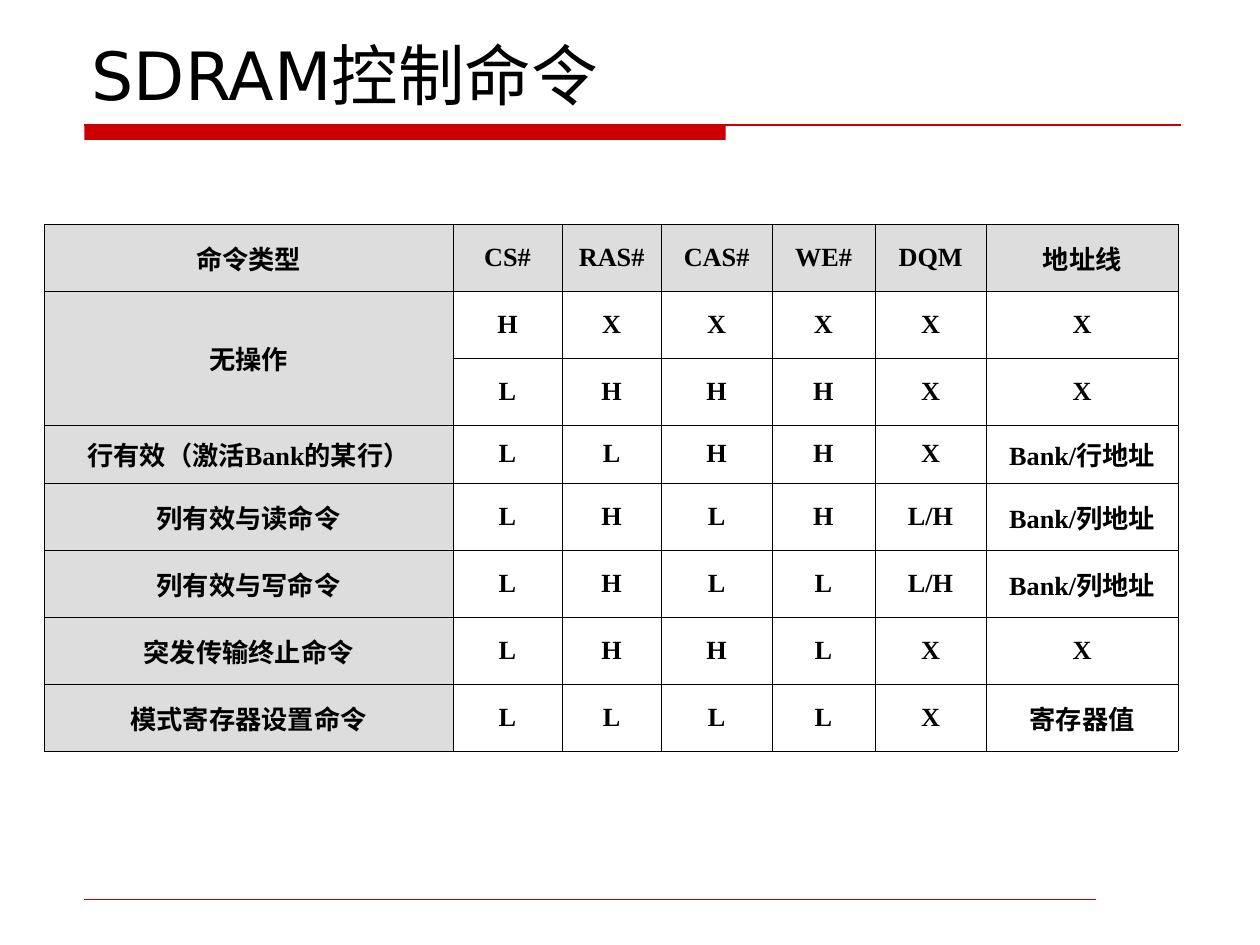
import pptx
import pptx.util
import pptx.dml.color
import pptx.enum.shapes
import pptx.enum.text
import pptx.oxml.ns
from lxml import etree
from pptx.util import Cm

# Content
TITLE = "SDRAM控制命令"
HEADER = ["命令类型", "CS#", "RAS#", "CAS#", "WE#", "DQM", "地址线"]
COMMANDS = [
    ["无操作", "H", "X", "X", "X", "X", "X"],
    ["", "L", "H", "H", "H", "X", "X"],
    ["行有效（激活Bank的某行）", "L", "L", "H", "H", "X", "Bank/行地址"],
    ["列有效与读命令", "L", "H", "L", "H", "L/H", "Bank/列地址"],
    ["列有效与写命令", "L", "H", "L", "L", "L/H", "Bank/列地址"],
    ["突发传输终止命令", "L", "H", "H", "L", "X", "X"],
    ["模式寄存器设置命令", "L", "L", "L", "L", "X", "寄存器值"],
]

# Style and layout, in centimetres
COLORS = {"red": "CC0000", "black": "000000", "gray": "DDDDDD"}
COLUMN_WIDTHS = [8.24, 2.2, 2, 2.23, 2.08, 2.24, 3.87]
ROW_HEIGHT, LOW_ROW_HEIGHT = 1.35, 1.17
LOW_ROW = 3
TABLE_LEFT, TABLE_TOP = 0.89, 4.52
RULE_LEFT, RULE_TOP, RULE_RIGHT = 1.7, 2.52, 23.8
FOOTER_TOP, FOOTER_RIGHT = 18.13, 22.1


def rgb(name):
    return pptx.dml.color.RGBColor.from_string(COLORS[name])


def add_text(paragraph, text, font_name, size, bold=False):
    run = paragraph.add_run()
    run.text = text
    run.font.name = font_name
    run.font.size = pptx.util.Pt(size)
    run.font.bold = bold
    run.font.color.rgb = rgb("black")


def add_rule(slide, top, right, width):
    connector = slide.shapes.add_connector(
        pptx.enum.shapes.MSO_CONNECTOR.STRAIGHT,
        Cm(RULE_LEFT), Cm(top), Cm(right), Cm(top))
    connector.line.color.rgb = rgb("red")
    connector.line.width = pptx.util.Pt(width)
    properties = connector._element.spPr
    etree.SubElement(properties, pptx.oxml.ns.qn("a:effectLst"))


def add_borders(cell, width):
    properties = cell._tc.get_or_add_tcPr()
    for side in ("lnL", "lnR", "lnT", "lnB"):
        line = etree.SubElement(properties, pptx.oxml.ns.qn("a:" + side),
                                w=str(pptx.util.Pt(width)))
        fill = etree.SubElement(line, pptx.oxml.ns.qn("a:solidFill"))
        etree.SubElement(fill, pptx.oxml.ns.qn("a:srgbClr"), val=COLORS["black"])


def fill_cell(cell, text, shaded):
    add_borders(cell, 0.45)
    if shaded:
        cell.fill.solid()
        cell.fill.fore_color.rgb = rgb("gray")
    else:
        cell.fill.background()
    cell.vertical_anchor = pptx.enum.text.MSO_ANCHOR.MIDDLE
    if text:
        paragraph = cell.text_frame.paragraphs[0]
        paragraph.alignment = pptx.enum.text.PP_ALIGN.CENTER
        add_text(paragraph, text, "Times New Roman", 15, bold=True)


def add_command_table(slide):
    rows = [HEADER] + COMMANDS
    heights = [LOW_ROW_HEIGHT if index == LOW_ROW else ROW_HEIGHT
               for index in range(len(rows))]
    table = slide.shapes.add_table(
        len(rows), len(HEADER), Cm(TABLE_LEFT), Cm(TABLE_TOP),
        Cm(sum(COLUMN_WIDTHS)), Cm(sum(heights))).table
    table.first_row = table.horz_banding = False
    for column, width in zip(table.columns, COLUMN_WIDTHS):
        column.width = Cm(width)
    for row, height in zip(table.rows, heights):
        row.height = Cm(height)
    for row_index, texts in enumerate(rows):
        for column_index, text in enumerate(texts):
            shaded = row_index == 0 or column_index == 0
            fill_cell(table.cell(row_index, column_index), text, shaded)
    # The first command takes two rows
    table.cell(1, 0).merge(table.cell(2, 0))


def main():
    presentation = pptx.Presentation()
    presentation.slide_width, presentation.slide_height = Cm(25.4), Cm(19.05)
    slide = presentation.slides.add_slide(presentation.slide_layouts[6])

    # Red bar and rules
    bar = slide.shapes.add_shape(
        pptx.enum.shapes.MSO_SHAPE.RECTANGLE,
        Cm(RULE_LEFT), Cm(RULE_TOP), Cm(12.93), Cm(0.3))
    bar.shadow.inherit = False
    bar.fill.solid()
    bar.fill.fore_color.rgb = rgb("red")
    bar.line.fill.background()
    add_rule(slide, RULE_TOP, RULE_RIGHT, 0.75)
    add_rule(slide, FOOTER_TOP, FOOTER_RIGHT, 0.25)

    # Title
    title = slide.shapes.add_textbox(Cm(1.6), Cm(0.33), Cm(22.23), Cm(2.08))
    title.text_frame.word_wrap = True
    title.text_frame.vertical_anchor = pptx.enum.text.MSO_ANCHOR.BOTTOM
    add_text(title.text_frame.paragraphs[0], TITLE, "DejaVu Sans", 38)

    add_command_table(slide)
    presentation.save("out.pptx")


if __name__ == "__main__":
    main()
